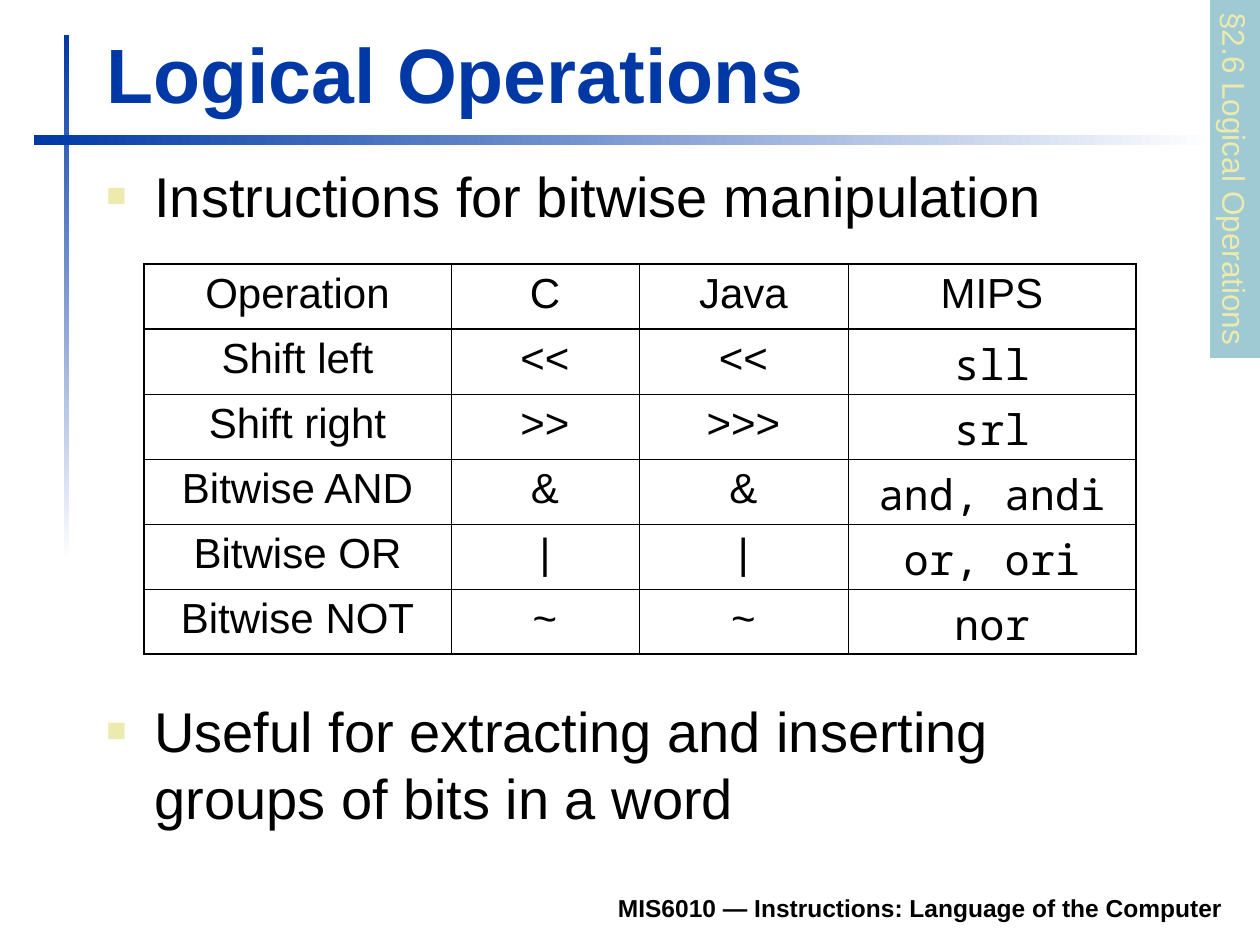
from pptx import Presentation
from pptx import util as u
from pptx.dml.color import RGBColor
from pptx.enum import shapes, text
from pptx.oxml import parse_xml
from pptx.oxml.ns import nsdecls

BLUE, CREAM, TEAL, BLACK = "0039A6", "ECEAAC", "9FCAD3", "000000"


def px(*lengths):
    return [u.Emu(round(n * 914400 / 126)) for n in lengths]


def write(frame, words, size, color=BLACK, font="Arial", bold=False,
          align=text.PP_ALIGN.LEFT, bullet=False):
    line = frame.paragraphs[0]
    line.text = words
    line.alignment = align
    if bullet:
        props = line._p.get_or_add_pPr()
        hang = px(48)[0]
        props.set("marL", str(hang))
        props.set("indent", str(-hang))
        for tag in (f'buClr {nsdecls("a")}><a:srgbClr val="{CREAM}"/></a:buClr',
                    f'buSzPct {nsdecls("a")} val="60000"/',
                    f'buFont {nsdecls("a")} typeface="Arial"/',
                    f'buChar {nsdecls("a")} char="■"/'):
            props.append(parse_xml(f"<a:{tag}>"))
    run_font = line.runs[0].font
    for key, value in dict(name=font, size=u.Pt(size), bold=bold).items():
        setattr(run_font, key, value)
    run_font.color.rgb = RGBColor.from_string(color)


prs = Presentation()
prs.slide_width, prs.slide_height = px(1260, 945)
slide = prs.slides.add_slide(prs.slide_layouts[5])

# Fading rules beside and below the title
for box, angle in (((64, 35, 5, 525), 270), ((34, 135, 1181, 10), 0)):
    rule = slide.shapes.add_shape(shapes.MSO_SHAPE.RECTANGLE, *px(*box))
    rule.shadow.inherit = False
    rule.line.fill.background()
    rule.fill.gradient()
    rule.fill.gradient_angle = angle
    for stop, color in zip(rule.fill.gradient_stops, (BLUE, "FFFFFF")):
        stop.color.rgb = RGBColor.from_string(color)

# Title
title = slide.shapes.title
title.left, title.top, title.width, title.height = px(94, 20, 1138, 105)
title.text_frame.vertical_anchor = text.MSO_ANCHOR.BOTTOM
title.text_frame.auto_size = text.MSO_AUTO_SIZE.NONE
write(title.text_frame, "Logical Operations", 44, BLUE, bold=True)

# Bullet points and footer
bullet = dict(size=32, bullet=True)
footer = dict(size=14, bold=True, align=text.PP_ALIGN.RIGHT)
for box, words, style in (
    ((94, 155, 1139, 96), "Instructions for bitwise manipulation", bullet),
    ((94, 690, 1071, 149),
     "Useful for extracting and inserting groups of bits in a word", bullet),
    ((233, 880, 1002, 49), "MIS6010 — Instructions: Language of the Computer", footer),
):
    frame = slide.shapes.add_textbox(*px(*box)).text_frame
    frame.word_wrap = True
    if style is footer:
        frame.vertical_anchor = text.MSO_ANCHOR.BOTTOM
    write(frame, words, **style)

# Table of operators by language
operations = [
    ("Operation", "C", "Java", "MIPS"),
    ("Shift left", "<<", "<<", "sll"),
    ("Shift right", ">>", ">>>", "srl"),
    ("Bitwise AND", "&", "&", "and, andi"),
    ("Bitwise OR", "|", "|", "or, ori"),
    ("Bitwise NOT", "~", "~", "nor"),
]
widths = px(307, 188, 209, 288)
last_row, last_col = len(operations) - 1, len(widths) - 1
table = slide.shapes.add_table(len(operations), len(widths),
                               *px(144, 264, 992, 390)).table
table.first_row = table.horz_banding = False
for column, width in zip(table.columns, widths):
    column.width = width
OUTER, HEADER, INNER = 1.08, 0.75, 0.45
for r, row in enumerate(operations):
    for c, words in enumerate(row):
        cell = table.cell(r, c)
        cell.fill.background()
        mono = r > 0 and c == last_col
        write(cell.text_frame, words, 24, align=text.PP_ALIGN.CENTER,
              font="Noto Sans Mono" if mono else "Arial")
        borders = {
            "lnL": OUTER if c == 0 else INNER,
            "lnR": OUTER if c == last_col else INNER,
            "lnT": {0: OUTER, 1: HEADER}.get(r, INNER),
            "lnB": {0: HEADER, last_row: OUTER}.get(r, INNER),
        }
        for place, (side, points) in enumerate(borders.items()):
            cell._tc.get_or_add_tcPr().insert(place, parse_xml(
                f'<a:{side} {nsdecls("a")} w="{u.Pt(points)}"><a:solidFill>'
                f'<a:srgbClr val="{BLACK}"/></a:solidFill></a:{side}>'))

# Section tab on the right edge
section = slide.shapes.add_shape(shapes.MSO_SHAPE.RECTANGLE, *px(1056, 154, 358, 50))
section.rotation = 90
section.shadow.inherit = False
section.line.fill.background()
section.fill.solid()
section.fill.fore_color.rgb = RGBColor.from_string(TEAL)
section.text_frame.word_wrap = False
section.text_frame.vertical_anchor = text.MSO_ANCHOR.TOP
write(section.text_frame, "§2.6 Logical Operations", 18, CREAM)

prs.save("out.pptx")
